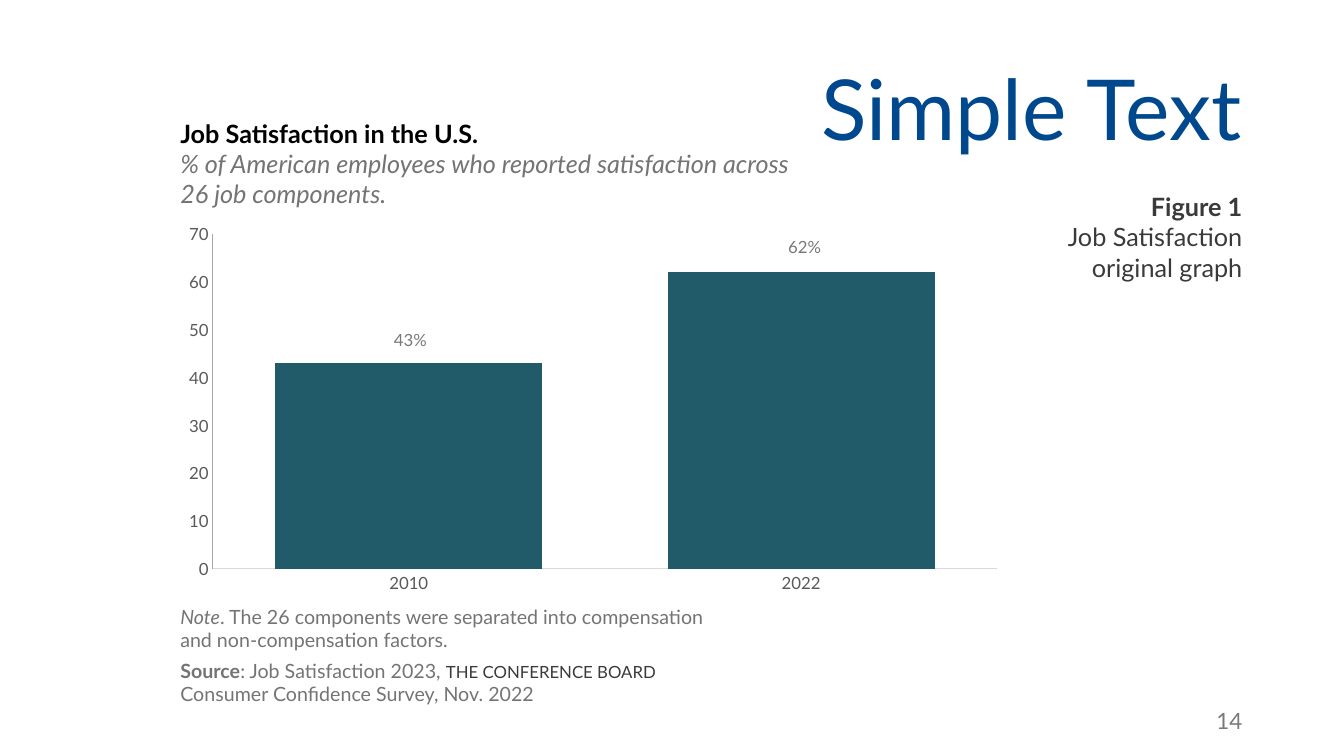
from lxml import etree
from pptx import Presentation
from pptx.chart.data import CategoryChartData
from pptx.dml.color import RGBColor
from pptx.enum.chart import XL_CHART_TYPE as ChartType, XL_TICK_MARK as TickMark
from pptx.enum.text import MSO_ANCHOR as Anchor, MSO_AUTO_SIZE as AutoSize, PP_ALIGN as Align
from pptx.oxml import parse_xml
from pptx.util import Inches, Pt

NAVY = RGBColor(0x00, 0x48, 0x8E)
TEAL = RGBColor(0x21, 0x5A, 0x69)
BLACK = RGBColor(0x00, 0x00, 0x00)
INK = RGBColor(0x3A, 0x3A, 0x3A)
GRAY = RGBColor(0x74, 0x74, 0x74)
LABEL_GRAY = RGBColor(0x79, 0x79, 0x79)
AXIS_TEXT = RGBColor(0x59, 0x59, 0x59)
CATEGORY_LINE = RGBColor(0xD9, 0xD9, 0xD9)
VALUE_LINE = RGBColor(0xA6, 0xA6, 0xA6)
FONT = "Lato"
CHART_NS = "http://schemas.openxmlformats.org/drawingml/2006/chart"


def style_font(font, size, color, bold=None, italic=None):
    font.name = FONT
    font.size = Pt(size)
    font.color.rgb = color
    font.bold = bold
    font.italic = italic


def add_text(page, box, paragraphs, align=Align.LEFT, anchor=Anchor.TOP, gap=0):
    frame = page.shapes.add_textbox(*map(Inches, box)).text_frame
    frame.word_wrap = True
    frame.vertical_anchor = anchor
    for index, (spans, style) in enumerate(paragraphs):
        para = frame.add_paragraph() if index else frame.paragraphs[0]
        para.alignment = align
        para.space_before = Pt(gap if index else 0)
        style_font(para.font, **style)
        for text, changes in spans:
            span = para.add_run()
            span.text = text
            if changes:
                style_font(span.font, **{**style, **changes})


def add_title(page, box):
    title = page.shapes.title
    title.left, title.top, title.width, title.height = map(Inches, box)
    frame = title.text_frame
    frame.text = "Simple Text"
    frame.word_wrap = True
    frame.auto_size = AutoSize.NONE
    frame.vertical_anchor = Anchor.MIDDLE
    para = frame.paragraphs[0]
    para.alignment = Align.RIGHT
    para.line_spacing = 0.9
    style_font(para.font, 60, NAVY)


def style_axis(axis, line_color):
    axis.has_major_gridlines = False
    axis.major_tick_mark = axis.minor_tick_mark = TickMark.NONE
    style_font(axis.tick_labels.font, 12, AXIS_TEXT)
    axis.format.line.color.rgb = line_color
    axis.format.line.width = Pt(0.75)


def set_plot_area(chart, box):
    layout = parse_xml(
        f'<c:layout xmlns:c="{CHART_NS}"><c:manualLayout>'
        '<c:layoutTarget val="inner"/><c:xMode val="edge"/><c:yMode val="edge"/>'
        '</c:manualLayout></c:layout>')
    for tag, value in zip("xywh", box):
        etree.SubElement(layout[0], f"{{{CHART_NS}}}{tag}").set("val", str(value))
    plot_area = chart.plots[0]._element.getparent()
    for previous in plot_area.findall(f"{{{CHART_NS}}}layout"):
        plot_area.remove(previous)
    plot_area.insert(0, layout)


def add_satisfaction_chart(page, box):
    data = CategoryChartData()
    data.categories = ["2010", "2022"]
    data.add_series("Series 1", [43, 62])
    chart = page.shapes.add_chart(ChartType.COLUMN_STACKED, *map(Inches, box), data).chart
    chart.has_title = False
    chart.has_legend = False
    style_font(chart.font, 10, BLACK)
    plot = chart.plots[0]
    plot.gap_width = 47
    plot.overlap = 100
    plot.vary_by_categories = False
    fill = plot.series[0].format.fill
    fill.solid()
    fill.fore_color.rgb = TEAL
    style_axis(chart.category_axis, CATEGORY_LINE)
    style_axis(chart.value_axis, VALUE_LINE)
    chart.value_axis.minimum_scale = 0
    chart.value_axis.maximum_scale = 70
    chart.value_axis.major_unit = 10
    set_plot_area(chart, (0.05, 0.05, 0.93, 0.87))

    left, top = box[:2]
    label = dict(size=12, color=LABEL_GRAY)
    for text, x, y, height in (("43%", 2.11, 1.07, 0.34), ("62%", 6.02, 0.12, 0.4)):
        add_text(page, (left + x, top + y, 0.54, height), [([(text, {})], label)],
                 Align.CENTER, Anchor.MIDDLE)


def add_heading(page, box):
    add_text(page, box, [
        ([("Job Satisfaction in the U.S.", {})], dict(size=18, color=BLACK, bold=True)),
        ([("% of American employees who reported satisfaction across 26 job components.", {})],
         dict(size=18, color=GRAY, italic=True)),
    ])


def add_notes_below_chart(page, box):
    style = dict(size=14, color=GRAY)
    add_text(page, box, [
        ([("Note", dict(italic=True)),
          (". The 26 components were separated into compensation "
           "and non-compensation factors.", {})], style),
        ([("Source", dict(bold=True)),
          (": Job Satisfaction 2023, ", {}),
          ("THE CONFERENCE BOARD ", dict(size=12, color=INK)),
          ("Consumer Confidence Survey, Nov. 2022", {})], style),
    ], gap=5)


def add_figure_caption(page, box):
    add_text(page, box, [
        ([("Figure 1", {})], dict(size=18, color=INK, bold=True)),
        ([("Job Satisfaction original graph", {})], dict(size=18, color=INK)),
    ], Align.RIGHT)


def add_page_number(page, box):
    add_text(page, box, [([("14", {})], dict(size=16, color=LABEL_GRAY))],
             Align.RIGHT, Anchor.MIDDLE)


def main():
    deck = Presentation()
    deck.slide_width = Inches(13.33)
    deck.slide_height = Inches(7.5)
    page = deck.slides.add_slide(deck.slide_layouts[5])
    add_title(page, (7.97, 0.4, 4.44, 1.45))
    add_satisfaction_chart(page, (1.69, 2.13, 8.37, 3.82))
    add_heading(page, (1.69, 1.12, 6.28, 1.01))
    add_notes_below_chart(page, (1.69, 5.95, 5.47, 1.13))
    add_figure_caption(page, (10.31, 1.85, 2.11, 1.01))
    add_page_number(page, (9.42, 6.95, 3, 0.4))
    deck.save("out.pptx")


if __name__ == "__main__":
    main()
